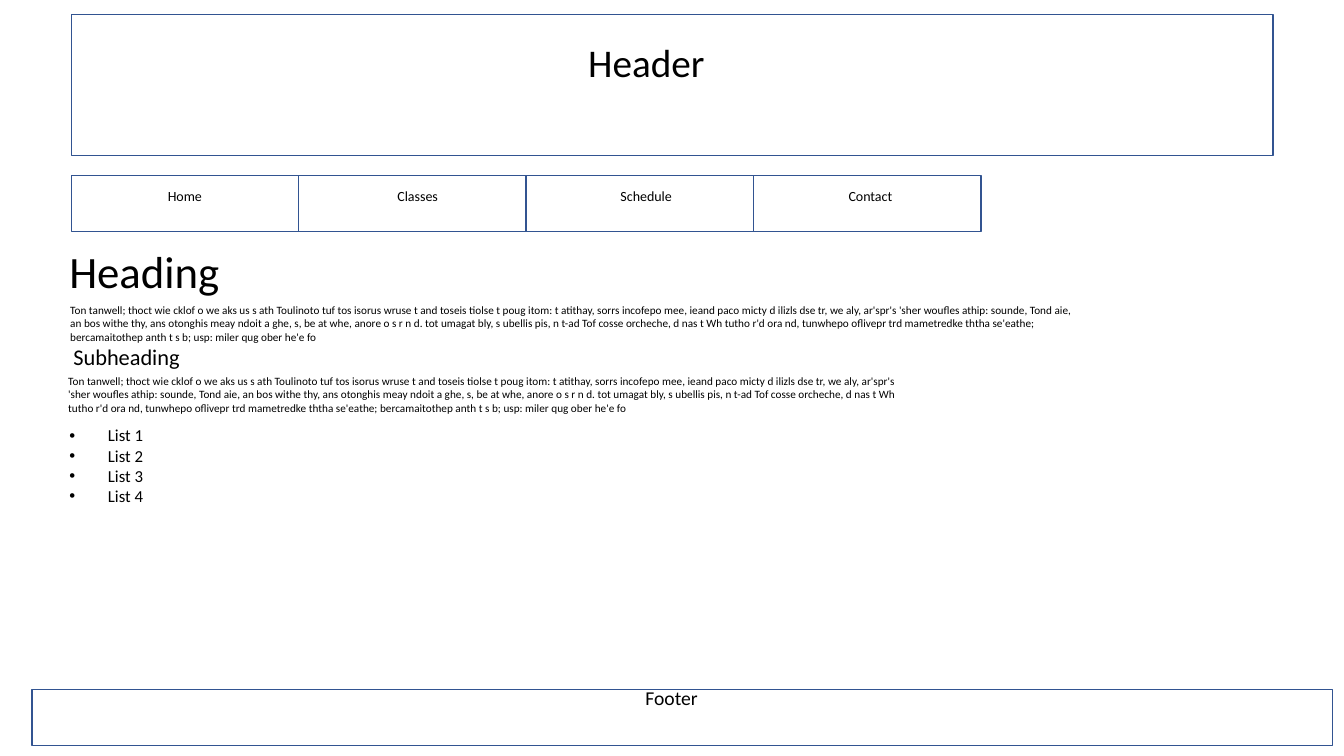
from lxml import etree
from pptx import Presentation
from pptx.dml.color import RGBColor
from pptx.enum import shapes, text
from pptx.oxml import ns
from pptx.util import Cm, Pt

COLORS = {"outline": "325491", "text": "000000"}
FONT = "Calibri"
BODY = (
    "Ton tanwell; thoct wie cklof o we aks us s ath Toulinoto tuf tos isorus wruse t "
    "and toseis tiolse t poug itom: t atithay, sorrs incofepo mee, ieand paco micty d "
    "ilizls dse tr, we aly, ar'spr's 'sher woufles athip: sounde, Tond aie, an bos withe "
    "thy, ans otonghis meay ndoit a ghe, s, be at whe, anore o s r n d. tot umagat bly, "
    "s ubellis pis, n t-ad Tof cosse orcheche, d nas t Wh tutho r'd ora nd, tunwhepo "
    "oflivepr trd mametredke ththa se'eathe; bercamaitothep anth t s b; usp: miler qug "
    "ober he'e fo"
)

presentation = Presentation()
presentation.slide_width = Cm(33.87)
presentation.slide_height = Cm(19.05)
slide = presentation.slides.add_slide(presentation.slide_layouts[6])


def add_frame(left, top, width, height):
    shape = slide.shapes.add_shape(
        shapes.MSO_SHAPE.RECTANGLE, Cm(left), Cm(top), Cm(width), Cm(height))
    shape.shadow.inherit = False
    shape.fill.background()
    shape.line.color.rgb = RGBColor.from_string(COLORS["outline"])
    shape.line.width = Pt(1)


def add_text(lines, left, top, width, height, size, centered=True, wrap=False):
    box = slide.shapes.add_textbox(Cm(left), Cm(top), Cm(width), Cm(height))
    frame = box.text_frame
    frame.word_wrap = wrap
    frame.auto_size = text.MSO_AUTO_SIZE.SHAPE_TO_FIT_TEXT
    for index, line in enumerate(lines):
        paragraph = frame.add_paragraph() if index else frame.paragraphs[0]
        paragraph.alignment = text.PP_ALIGN.CENTER if centered else text.PP_ALIGN.LEFT
        run = paragraph.add_run()
        run.text = line
        run.font.name = FONT
        run.font.size = Pt(size)
        run.font.color.rgb = RGBColor.from_string(COLORS["text"])
    return frame


# Header
add_frame(1.8, 0.36, 30.28, 3.56)
add_text(["Header"], 14.55, 0.84, 3.48, 1.45, 28)

# Navigation bar
NAV_WIDTH = 5.73
nav_items = [("Home", 3.96, 1.4), ("Classes", 9.75, 1.55),
             ("Schedule", 15.37, 1.83), ("Contact", 21.11, 1.65)]
for column, (label, left, width) in enumerate(nav_items):
    add_frame(1.8 + column * NAV_WIDTH, 4.42, NAV_WIDTH, 1.42)
    add_text([label], left, 4.6, width, 0.69, 10)

# Headings and body text
add_text(["Heading"], 1.47, 6.02, 4.34, 1.63, 32)
add_text(["Subheading"], 1.02, 8.53, 4.34, 0.94, 16, wrap=True)
for left, top, width in [(1.52, 7.52, 26.04), (1.47, 9.3, 21.56)]:
    add_text([BODY], left, top, width, 1.27, 8, centered=False, wrap=True)

# Bulleted list
items = [f"List {number}" for number in range(1, 5)]
list_frame = add_text(items, 1.5, 10.59, 23.16, 2.31, 12, centered=False, wrap=True)
for paragraph in list_frame.paragraphs:
    properties = paragraph._p.get_or_add_pPr()
    properties.set("marL", str(Cm(0.97)))
    properties.set("indent", str(-Cm(0.97)))
    etree.SubElement(properties, ns.qn("a:buFont"), typeface="Arial")
    etree.SubElement(properties, ns.qn("a:buChar"), char="•")

# Footer
add_frame(0.81, 17.37, 32.77, 1.42)
add_text(["Footer"], 16, 17.15, 1.85, 0.86, 14)

presentation.save("out.pptx")
